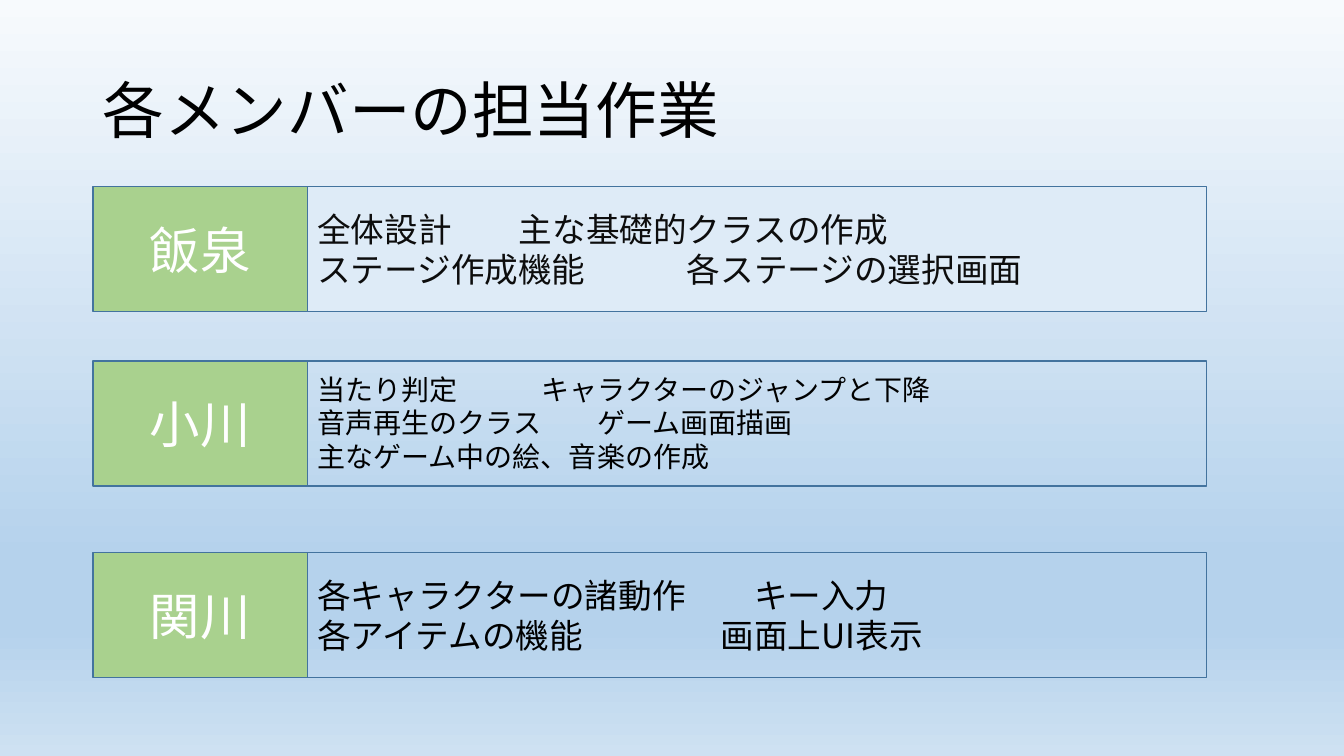
"""Build a slide that lists the work assigned to each team member."""
from lxml import etree
from pptx import Presentation
from pptx.dml.color import RGBColor
from pptx.enum.shapes import MSO_SHAPE
from pptx.enum.text import MSO_ANCHOR, PP_ALIGN
from pptx.oxml.ns import qn
from pptx.util import Cm, Pt

RECTANGLE = MSO_SHAPE.RECTANGLE
TOP, MIDDLE = MSO_ANCHOR.TOP, MSO_ANCHOR.MIDDLE
LEFT, CENTER = PP_ALIGN.LEFT, PP_ALIGN.CENTER
FONT = "Noto Sans CJK JP"
COLORS = {
    "name": "A9D18E", "task": "DEEBF7", "border": "43739E",
    "white": "FFFFFF", "black": "000000", "ink": "0D0D0D",
}
BACKGROUND_STOPS = [(0, "F7FAFD"), (74, "B5D2EC"), (83, "B5D2EC"), (100, "CEE1F2")]

NAME_LEFT, NAME_WIDTH = 2.34, 5.41
TASK_LEFT, TASK_WIDTH = NAME_LEFT + NAME_WIDTH, 22.66
ROW_HEIGHT = 3.15


class SlideBuilder:
    """Holds the style and the current slide."""

    def __init__(self, presentation):
        self.slide = presentation.slides.add_slide(presentation.slide_layouts[6])

    def background(self, stops):
        fill = self.slide.background.fill
        fill.gradient()
        fill.gradient_angle = 270
        stop_list = self.slide.element.find(".//" + qn("a:gsLst"))
        for stop in list(stop_list):
            stop_list.remove(stop)
        for percent, color in stops:
            stop = etree.SubElement(stop_list, qn("a:gs"), pos=str(percent * 1000))
            etree.SubElement(stop, qn("a:srgbClr"), val=color)

    def add_text(self, shape, lines, size, color, align=LEFT, anchor=MIDDLE, spacing=1.0):
        frame = shape.text_frame
        for key, value in {"word_wrap": True, "vertical_anchor": anchor}.items():
            setattr(frame, key, value)
        for index, (text, tab_ems) in enumerate(lines):
            paragraph = frame.paragraphs[0] if index == 0 else frame.add_paragraph()
            for key, value in {"alignment": align, "line_spacing": spacing}.items():
                setattr(paragraph, key, value)
            if tab_ems:
                self.tab_stop(paragraph, Pt(tab_ems * size))
            run = paragraph.add_run()
            run.text = text
            for key, value in {"size": Pt(size), "name": FONT}.items():
                setattr(run.font, key, value)
            run.font.color.rgb = RGBColor.from_string(COLORS[color])
            etree.SubElement(run._r.get_or_add_rPr(), qn("a:ea"), typeface=FONT)

    def tab_stop(self, paragraph, position):
        properties = paragraph._p.get_or_add_pPr()
        tabs = etree.SubElement(properties, qn("a:tabLst"))
        etree.SubElement(tabs, qn("a:tab"), pos=str(int(position)), algn="l")

    def panel(self, left, top, width, fill=None):
        shape = self.slide.shapes.add_shape(
            RECTANGLE, Cm(left), Cm(top), Cm(width), Cm(ROW_HEIGHT))
        shape.shadow.inherit = False
        if fill:
            shape.fill.solid()
            shape.fill.fore_color.rgb = RGBColor.from_string(COLORS[fill])
        else:
            shape.fill.background()
        shape.line.color.rgb = RGBColor.from_string(COLORS["border"])
        shape.line.width = Pt(1)
        return shape

    def text_box(self, left, top, width, height):
        return self.slide.shapes.add_textbox(Cm(left), Cm(top), Cm(width), Cm(height))


MEMBERS = [
    {"name": "飯泉", "top": 4.7, "fill": "task", "size": 24, "color": "ink",
     "tasks": [("全体設計\t主な基礎的クラスの作成", 6),
               ("ステージ作成機能\t各ステージの選択画面", 11)]},
    {"name": "小川", "top": 9.1, "size": 20, "color": "black",
     "box": (9.25, 22.38, 3.58),
     "tasks": [("当たり判定\tキャラクターのジャンプと下降", 8),
               ("音声再生のクラス\tゲーム画面描画", 10),
               ("主なゲーム中の絵、音楽の作成", None)]},
    {"name": "関川", "top": 13.92, "size": 24, "color": "black",
     "box": (14.35, 20.04, 3.07),
     "tasks": [("各キャラクターの諸動作\tキー入力", 13),
               ("各アイテムの機能\t画面上UI表示", 12)]},
]


def main():
    presentation = Presentation()
    presentation.slide_width, presentation.slide_height = Cm(33.87), Cm(19.05)
    builder = SlideBuilder(presentation)
    builder.background(BACKGROUND_STOPS)
    title = builder.text_box(NAME_LEFT, 1.01, 29.21, 3.68)
    builder.add_text(title, [("各メンバーの担当作業", None)], 44, "black", spacing=0.9)
    for member in MEMBERS:
        name = builder.panel(NAME_LEFT, member["top"], NAME_WIDTH, "name")
        builder.add_text(name, [(member["name"], None)], 36, "white", CENTER)
        target = builder.panel(TASK_LEFT, member["top"], TASK_WIDTH, member.get("fill"))
        anchor = MIDDLE
        if "box" in member:
            top, width, height = member["box"]
            target = builder.text_box(TASK_LEFT, top, width, height)
            anchor = TOP
        builder.add_text(target, member["tasks"], member["size"], member["color"],
                         anchor=anchor)
    presentation.save("out.pptx")


if __name__ == "__main__":
    main()
